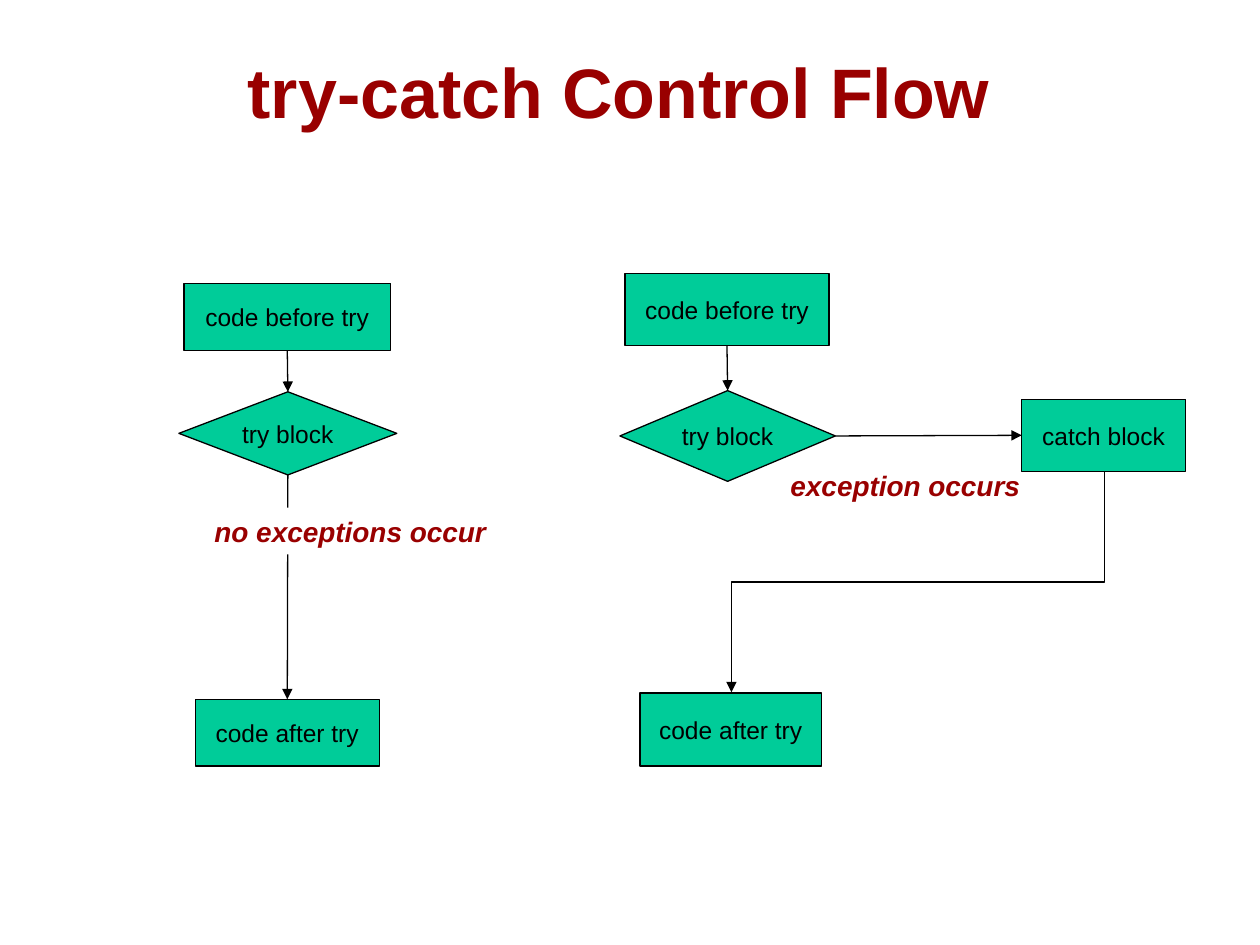
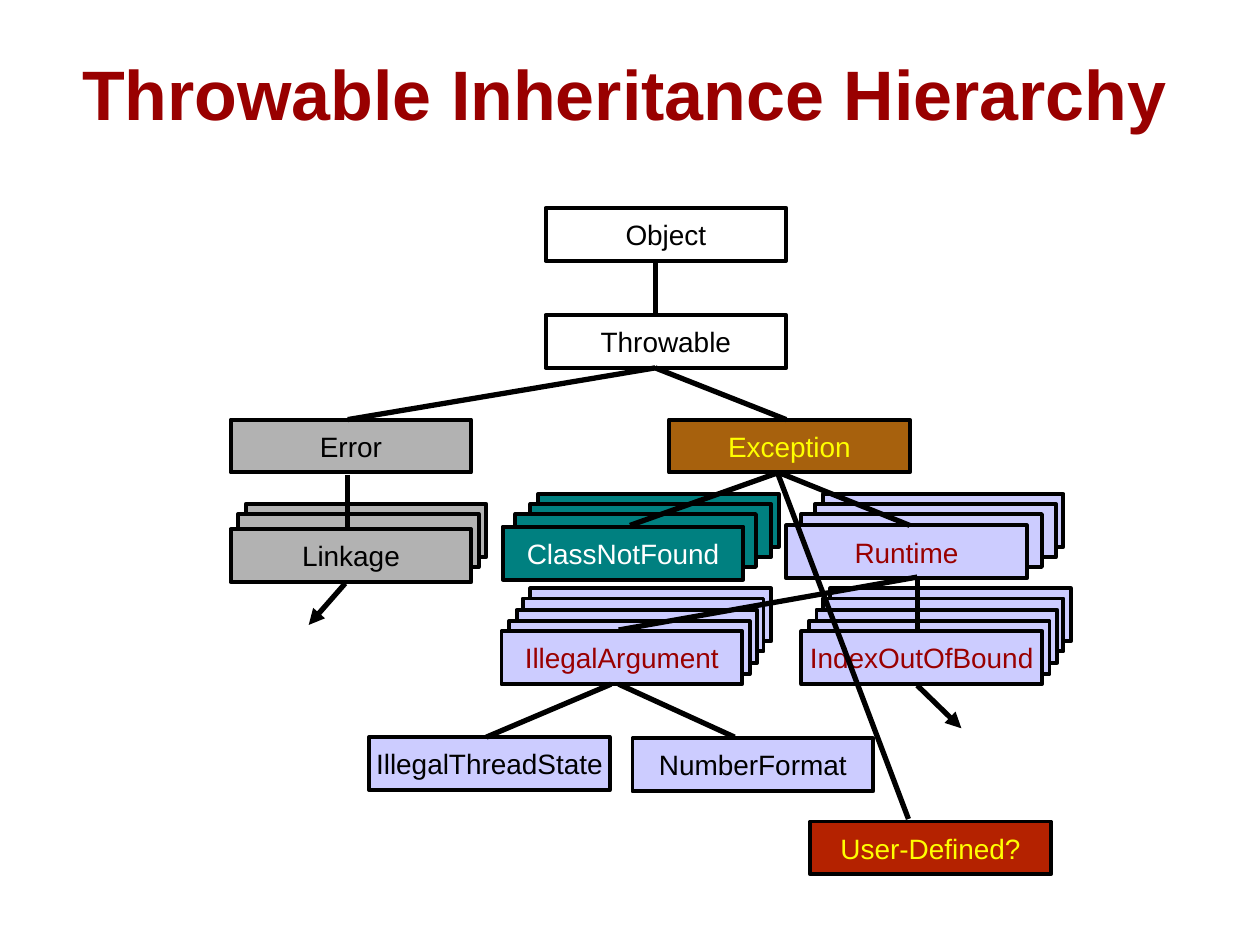
from lxml import etree
from pptx import Presentation
from pptx.dml.color import RGBColor
from pptx.enum.shapes import MSO_CONNECTOR as Connector, MSO_SHAPE as Shape
from pptx.enum.text import MSO_ANCHOR as Anchor, PP_ALIGN as Align
from pptx.oxml.ns import qn
from pptx.util import Pt

PX = 9144
BLACK = "000000"
WHITE = "FFFFFF"
DARK_RED = "990000"
YELLOW = "FFFF00"
GREEN = "00CC99"
GREY = "B2B2B2"
TEAL = "008080"
LAVENDER = "CCCCFF"
BROWN = "A7610D"
BRICK = "B42200"
CARD_WIDTH, CARD_HEIGHT = 191, 42
TOP, LEFT, BOTTOM, RIGHT = range(4)


def add_box(slide, kind, place, text, size, color, fill=None, outline=0, bold=False, italic=False):
    place = [length * PX for length in place]
    if kind is None:
        shape = slide.shapes.add_textbox(*place)
    else:
        shape = slide.shapes.add_shape(kind, *place)
        shape.shadow.inherit = False
    if fill:
        shape.fill.solid()
        shape.fill.fore_color.rgb = RGBColor.from_string(fill)
    if outline:
        shape.line.color.rgb = RGBColor.from_string(BLACK)
        shape.line.width = Pt(outline)
    if text:
        frame = shape.text_frame
        frame.text = text
        frame.word_wrap = False
        frame.vertical_anchor = Anchor.MIDDLE
        paragraph = frame.paragraphs[0]
        paragraph.alignment = Align.CENTER
        font = paragraph.runs[0].font
        font.name = "Arial"
        font.size = Pt(size)
        font.bold = bold
        font.italic = italic
        font.color.rgb = RGBColor.from_string(color)
    return shape


def add_line(slide, ends, width, arrow=False, kind=Connector.STRAIGHT):
    connector = slide.shapes.add_connector(kind, *[length * PX for length in ends])
    connector.line.color.rgb = RGBColor.from_string(BLACK)
    connector.line.width = Pt(width)
    if arrow:
        etree.SubElement(connector.line._get_or_add_ln(), qn("a:tailEnd"), type="triangle")
    etree.SubElement(connector._element.spPr, qn("a:effectLst"))
    return connector


presentation = Presentation()
presentation.slide_width = 1000 * PX
presentation.slide_height = 750 * PX

slides = []
for text, place in [
    ("try-catch Control Flow", (124, 21, 734, 113)),
    ("Throwable Inheritance Hierarchy", (33, 17, 925, 125)),
]:
    slide = presentation.slides.add_slide(presentation.slide_layouts[6])
    title = add_box(slide, None, place, text, 40, DARK_RED, bold=True)
    frame = title.text_frame
    frame.margin_left = frame.margin_top = frame.margin_right = frame.margin_bottom = 0
    frame.paragraphs[0].line_spacing = 0.81
    slides.append(slide)
flow_slide, hierarchy_slide = slides

steps = {}
for key, kind, text, place in [
    ("normal before", Shape.FLOWCHART_PROCESS, "code before try", (146, 225, 164, 53)),
    ("normal try", Shape.FLOWCHART_DECISION, "try block", (142, 311, 173, 66)),
    ("normal after", Shape.FLOWCHART_PROCESS, "code after try", (155, 555, 146, 53)),
    ("failing before", Shape.FLOWCHART_PROCESS, "code before try", (496, 217, 162, 57)),
    ("failing try", Shape.FLOWCHART_DECISION, "try block", (492, 310, 171, 72)),
    ("failing catch", Shape.FLOWCHART_PROCESS, "catch block", (811, 317, 130, 57)),
    ("failing after", Shape.FLOWCHART_PROCESS, "code after try", (508, 550, 144, 58)),
]:
    steps[key] = add_box(flow_slide, kind, place, text, 14, BLACK, GREEN, 0.75)

for source, source_side, target, target_side, kind in [
    ("normal before", BOTTOM, "normal try", TOP, Connector.STRAIGHT),
    ("normal try", BOTTOM, "normal after", TOP, Connector.STRAIGHT),
    ("failing before", BOTTOM, "failing try", TOP, Connector.STRAIGHT),
    ("failing try", RIGHT, "failing catch", LEFT, Connector.STRAIGHT),
    ("failing catch", BOTTOM, "failing after", TOP, Connector.ELBOW),
]:
    arrow = add_line(flow_slide, (0, 0, 0, 0), 0.75, True, kind)
    arrow.begin_connect(steps[source], source_side)
    arrow.end_connect(steps[target], target_side)

elbow_frame = arrow._element.spPr.find(qn("a:xfrm"))
for flip in ("flipH", "flipV"):
    elbow_frame.attrib.pop(flip, None)
elbow_frame.set("rot", "5400000")
arrow.left, arrow.top, arrow.width, arrow.height = [length * PX for length in (641, 314, 175, 296)]

for text, place, fill in [
    ("no exceptions occur", (160, 403, 236, 37), WHITE),
    ("exception occurs", (617, 367, 203, 37), None),
]:
    add_box(flow_slide, None, place, text, 16, DARK_RED, fill, bold=True, italic=True)

pair_behind = [(12, -20), (6, -12)]
teal_behind = [(28, -26), (22, -18), (10, -10)]
runtime_behind = [(29, -25), (23, -17), (12, -9)]
four_behind = [(round(5.75 * depth), round(-8.5 * depth)) for depth in (4, 3, 2, 1)]

for text, left, top, fill, color, behind in [
    ("Object", 433, 165, WHITE, BLACK, []),
    ("Throwable", 433, 250, WHITE, BLACK, []),
    ("Error", 183, 333, GREY, BLACK, []),
    ("Exception", 531, 333, BROWN, YELLOW, []),
    ("Linkage", 183, 420, GREY, BLACK, pair_behind),
    ("ClassNotFound", 399, 418, TEAL, WHITE, teal_behind),
    ("Runtime", 624, 417, LAVENDER, DARK_RED, runtime_behind),
    ("IllegalArgument", 398, 501, LAVENDER, DARK_RED, four_behind),
    ("IndexOutOfBound", 636, 501, LAVENDER, DARK_RED, four_behind),
    ("IllegalThreadState", 293, 585, LAVENDER, BLACK, []),
    ("NumberFormat", 502, 586, LAVENDER, BLACK, []),
    ("User-Defined?", 643, 652, BRICK, YELLOW, []),
]:
    for right_shift, down_shift in behind + [(0, 0)]:
        place = (left + right_shift, top + down_shift, CARD_WIDTH, CARD_HEIGHT)
        label = "" if right_shift else text
        add_box(hierarchy_slide, Shape.RECTANGLE, place, label, 16, color, fill, 2.25)

for ends in [
    (520, 208, 520, 249),
    (520, 292, 624, 333),
    (618, 375, 722, 417),
    (520, 292, 276, 333),
    (276, 377, 276, 418),
    (618, 375, 500, 417),
    (728, 458, 728, 500),
    (728, 458, 491, 500),
    (485, 543, 386, 585),
    (491, 543, 583, 585),
    (617, 375, 721, 650),
]:
    add_line(hierarchy_slide, ends, 3)

for ends in [(728, 544, 763, 578), (274, 463, 245, 496)]:
    add_line(hierarchy_slide, ends, 3, True)

presentation.save("out.pptx")
